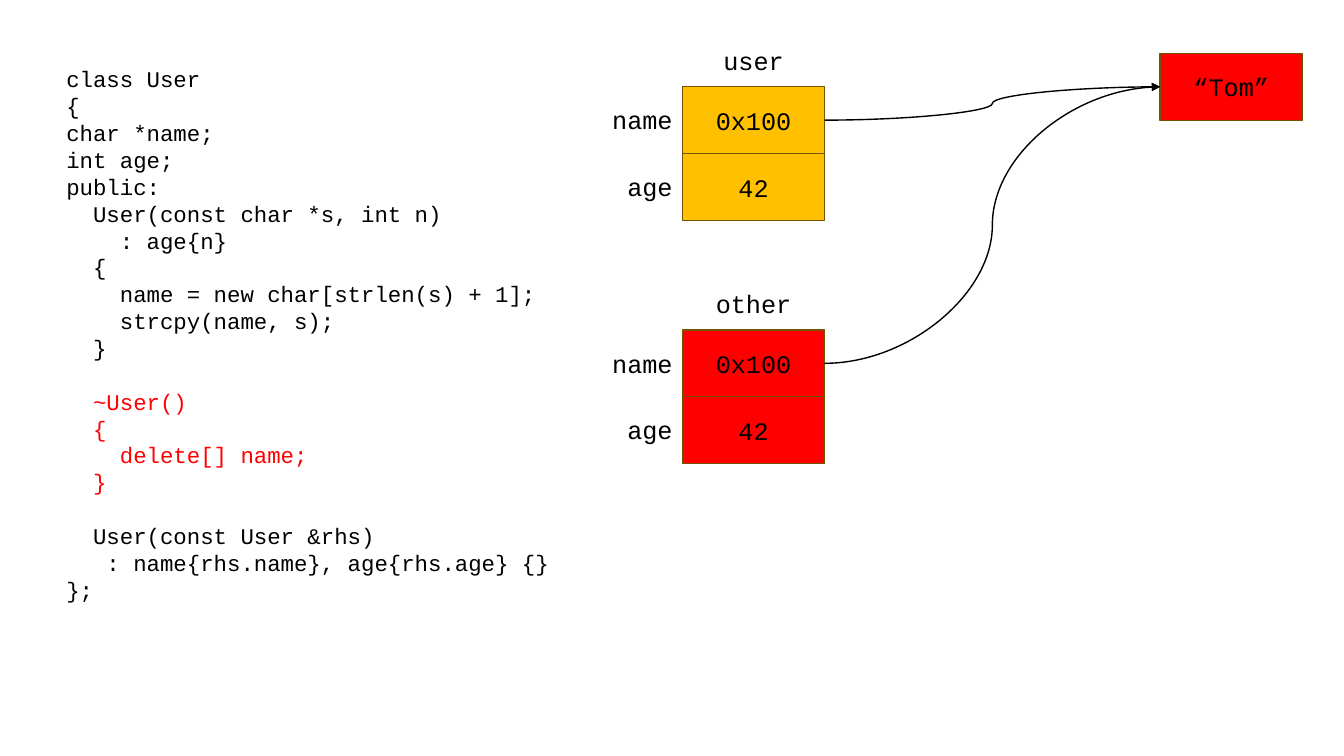
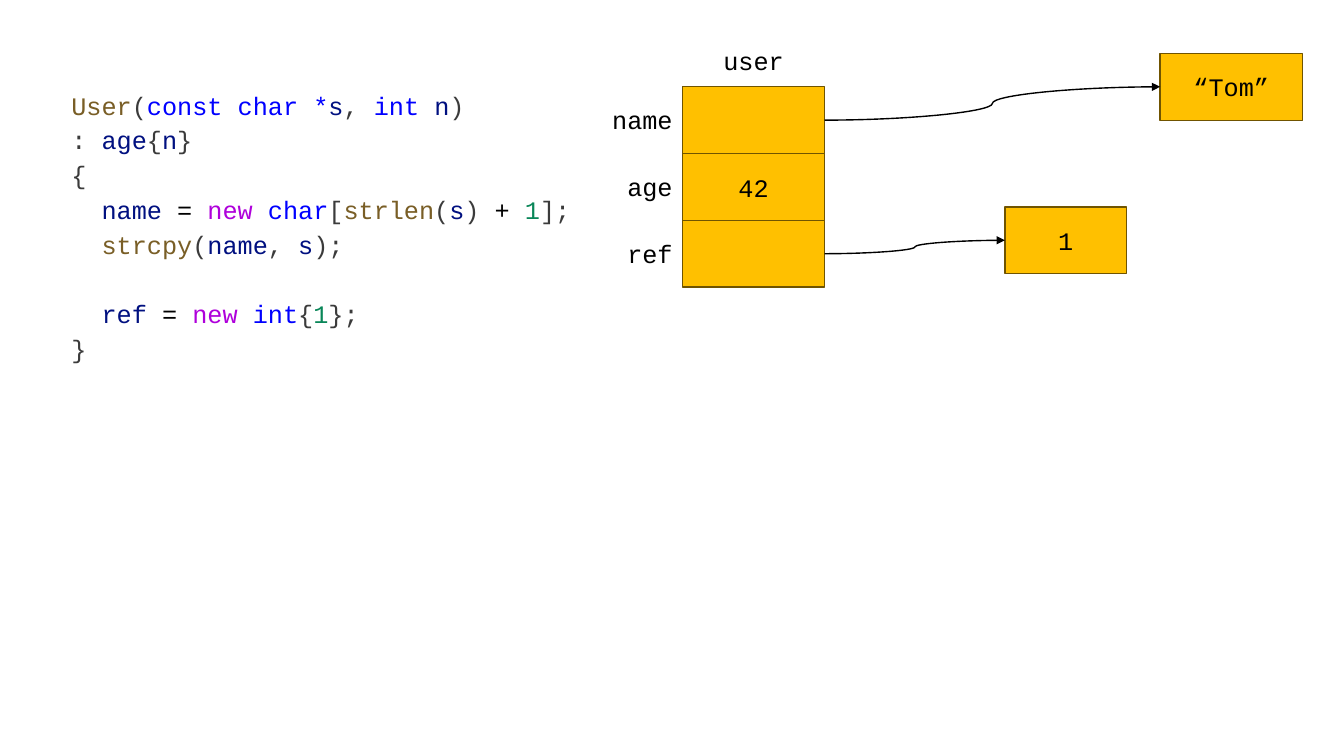
"""Two slides on copying a C++ object and counting references to its heap data."""
from lxml.etree import SubElement
from pptx import Presentation
from pptx.dml.color import RGBColor
from pptx.enum.shapes import MSO_CONNECTOR, MSO_SHAPE
from pptx.enum.text import MSO_ANCHOR, PP_ALIGN
from pptx.oxml.ns import qn
from pptx.util import Pt

COLORS = {
    "black": "000000", "red": "FF0000", "amber": "FFC000", "border": "705400",
    "function": "795E26", "punctuation": "3B3B3B", "type": "0000FF",
    "variable": "001080", "keyword": "AF00DB", "number": "098658",
}
FONT = "Courier New"
CELL_LEFT, CELL_WIDTH, CELL_HEIGHT = 487.5, 101.5, 47.7
LABEL_LEFT, LABEL_HEIGHT = 404.7, 29


def add_label(slide, text, left, top, width, alignment):
    """Add one line of plain diagram text."""
    label = slide.shapes.add_textbox(Pt(left), Pt(top), Pt(width), Pt(LABEL_HEIGHT))
    label.text_frame.word_wrap = True
    paragraph = label.text_frame.paragraphs[0]
    paragraph.text = text
    paragraph.alignment = alignment
    font = paragraph.runs[0].font
    font.name, font.size = FONT, Pt(18)
    font.color.rgb = RGBColor.from_string(COLORS["black"])


def add_cell(slide, text, left, top, width, fill):
    """Add a bordered memory cell and return it."""
    cell = slide.shapes.add_shape(
        MSO_SHAPE.RECTANGLE, Pt(left), Pt(top), Pt(width), Pt(CELL_HEIGHT))
    cell.shadow.inherit = False
    cell.fill.solid()
    cell.fill.fore_color.rgb = RGBColor.from_string(COLORS[fill])
    cell.line.color.rgb = RGBColor.from_string(COLORS["border"])
    cell.line.width = Pt(1)
    if text:
        cell.text_frame.vertical_anchor = MSO_ANCHOR.MIDDLE
        paragraph = cell.text_frame.paragraphs[0]
        paragraph.text = text
        paragraph.alignment = PP_ALIGN.CENTER
        font = paragraph.runs[0].font
        font.name, font.size = FONT, Pt(18)
        font.color.rgb = RGBColor.from_string(COLORS["black"])
    return cell


class_code = [[(line, "black")] for line in (
    "class User", "{", "char *name;", "int age;", "public:",
    "  User(const char *s, int n)", "    : age{n}", "  {",
    "    name = new char[strlen(s) + 1];", "    strcpy(name, s);", "  }")]
class_code += [[(line, "red")] for line in (
    "  ~User()", "  {", "    delete[] name;", "  }")]
class_code += [[(line, "black")] for line in (
    "  User(const User &rhs)", "   : name{rhs.name}, age{rhs.age} {}", "};")]

constructor_code = [
    [("User", "function"), ("(", "punctuation"), ("const char *", "type"),
     ("s", "variable"), (", ", "punctuation"), ("int ", "type"),
     ("n", "variable"), (")", "punctuation")],
    [(": ", "punctuation"), ("age", "variable"), ("{", "punctuation"),
     ("n", "variable"), ("}", "punctuation")],
    [("{", "punctuation")],
    [("  name ", "variable"), ("= ", "black"), ("new ", "keyword"),
     ("char", "type"), ("[", "punctuation"), ("strlen", "function"),
     ("(", "punctuation"), ("s", "variable"), (") ", "punctuation"),
     ("+ ", "black"), ("1", "number"), ("];", "punctuation")],
    [("  strcpy", "function"), ("(", "punctuation"), ("name", "variable"),
     (", ", "punctuation"), ("s", "variable"), (");", "punctuation")],
    [("  ref ", "variable"), ("= ", "black"), ("new ", "keyword"),
     ("int", "type"), ("{", "punctuation"), ("1", "number"), ("};", "punctuation")],
    [("}", "punctuation")],
]

slides = [
    {
        "code": class_code, "code_box": (40.3, 43.2, 415.4, 433.4),
        "size": 16, "line_height": 19.2, "gaps_before": (11, 15),
        "heap": {"name": ("“Tom”", 828.7, 38.2, CELL_WIDTH, "red")},
        "objects": [
            ("user", 62, "amber", [("name", "0x100"), ("age", "42")]),
            ("other", 235.7, "red", [("name", "0x100"), ("age", "42")]),
        ],
    },
    {
        "code": constructor_code, "code_box": (43.9, 57.6, 480.2, 208),
        "size": 18, "line_height": 24.8, "gaps_before": (5,),
        "heap": {"name": ("“Tom”", 828.7, 38.2, CELL_WIDTH, "amber"),
                 "ref": ("1", 717.8, 147.8, 86.7, "amber")},
        "objects": [
            ("user", 62, "amber", [("name", ""), ("age", "42"), ("ref", "")]),
        ],
    },
]

presentation = Presentation()
presentation.slide_width, presentation.slide_height = Pt(960), Pt(540)

for content in slides:
    slide = presentation.slides.add_slide(presentation.slide_layouts[6])

    code_box = slide.shapes.add_textbox(*(Pt(length) for length in content["code_box"]))
    text_frame = code_box.text_frame
    text_frame.word_wrap = True
    for index, line in enumerate(content["code"]):
        paragraph = text_frame.add_paragraph() if index else text_frame.paragraphs[0]
        paragraph.line_spacing = Pt(content["line_height"])
        if index in content["gaps_before"]:
            paragraph.space_before = Pt(content["line_height"])
        for text, color in line:
            run = paragraph.add_run()
            run.text = text
            run.font.name, run.font.size = FONT, Pt(content["size"])
            run.font.color.rgb = RGBColor.from_string(COLORS[color])

    heap_cells = {field: add_cell(slide, *cell) for field, cell in content["heap"].items()}

    for title, top, fill, fields in content["objects"]:
        add_label(slide, title, CELL_LEFT, top - 33, CELL_WIDTH, PP_ALIGN.CENTER)
        for row, (field, value) in enumerate(fields):
            cell_top = top + row * CELL_HEIGHT
            add_label(slide, field, LABEL_LEFT, cell_top + 9.3,
                      CELL_LEFT - LABEL_LEFT, PP_ALIGN.RIGHT)
            cell = add_cell(slide, value, CELL_LEFT, cell_top, CELL_WIDTH, fill)
            if field in heap_cells:
                arrow = slide.shapes.add_connector(MSO_CONNECTOR.CURVE, 0, 0, 0, 0)
                arrow.begin_connect(cell, 3)
                arrow.end_connect(heap_cells[field], 1)
                arrow.line.color.rgb = RGBColor.from_string(COLORS["black"])
                arrow.line.width = Pt(1)
                SubElement(arrow.line._get_or_add_ln(), qn("a:tailEnd"), type="triangle")
                SubElement(arrow._element.spPr, qn("a:effectLst"))

presentation.save("out.pptx")
